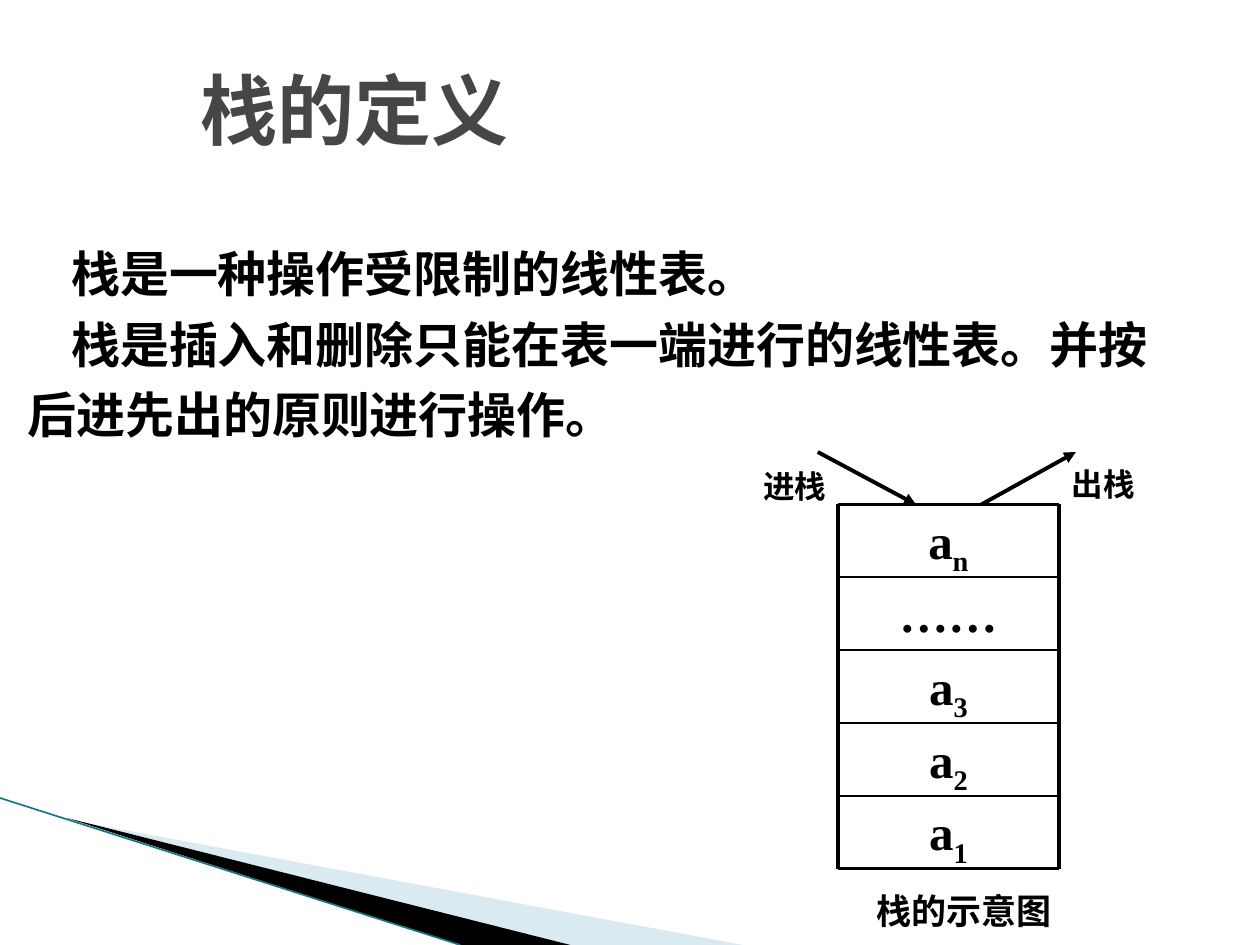
from dataclasses import dataclass

from lxml import etree
from pptx import Presentation
from pptx.dml.color import RGBColor
from pptx.enum.shapes import MSO_CONNECTOR
from pptx.enum.text import MSO_ANCHOR, PP_ALIGN
from pptx.oxml.ns import qn
from pptx.util import Pt

STRAIGHT = MSO_CONNECTOR.STRAIGHT
TOP, MIDDLE = MSO_ANCHOR.TOP, MSO_ANCHOR.MIDDLE
LEFT, CENTER = PP_ALIGN.LEFT, PP_ALIGN.CENTER


@dataclass(frozen=True)
class Theme:
    ink: str = "000000"
    heading: str = "464646"
    pale: str = "A0CBDC"
    edge: str = "1B7587"
    sans: str = "Arial"
    cjk: str = "Noto Sans CJK SC"
    serif: str = "Times New Roman"
    title: int = 44
    body: int = 28
    caption: int = 20
    label: int = 18
    thick: float = 2.25
    thin: float = 1


THEME = Theme()


def add_text(s, box, paragraphs, size, font, color=THEME.ink, align=LEFT,
             anchor=TOP, wrap=True, margin=0, indent=0, before=0, spacing=1.0):
    """Each paragraph is a list of (text, is_subscript) runs."""
    tf = s.shapes.add_textbox(*map(Pt, box)).text_frame
    tf.word_wrap, tf.vertical_anchor = wrap, anchor
    for i, runs in enumerate(paragraphs):
        p = tf.paragraphs[0] if i == 0 else tf.add_paragraph()
        p.alignment, p.space_before, p.line_spacing = align, Pt(before), spacing
        f = p.font
        f.size, f.bold, f.name = Pt(size), True, font
        f.color.rgb = RGBColor.from_string(color)
        pPr = p._p.get_or_add_pPr()
        pPr.set("marL", str(Pt(margin)))
        pPr.set("indent", str(Pt(indent)))
        etree.SubElement(pPr.find(qn("a:defRPr")), qn("a:ea"), typeface=THEME.cjk)
        for text, subscript in runs:
            r = p.add_run()
            r.text = text
            if subscript:
                r.font._element.set("baseline", "-25000")


def add_line(s, x1, y1, x2, y2, width, color=THEME.ink, arrow=False):
    line = s.shapes.add_connector(STRAIGHT, Pt(x1), Pt(y1), Pt(x2), Pt(y2))
    line.line.width = Pt(width)
    line.line.color.rgb = RGBColor.from_string(color)
    if arrow:
        etree.SubElement(line.line._get_or_add_ln(), qn("a:tailEnd"), type="triangle")
    etree.SubElement(line._element.spPr, qn("a:effectLst"))


def add_wedge(s, points, color, alpha=None):
    start, *rest = [(Pt(x), Pt(y)) for x, y in points]
    builder = s.shapes.build_freeform(*start)
    builder.add_line_segments(rest, close=True)
    sp = builder.convert_to_shape()
    sp.shadow.inherit = False
    sp.line.fill.background()
    sp.fill.solid()
    sp.fill.fore_color.rgb = RGBColor.from_string(color)
    if alpha:
        clr = sp._element.spPr.find(qn("a:solidFill"))[0]
        etree.SubElement(clr, qn("a:alpha"), val=str(alpha * 1000))


def draw_corner(s, x, y, w, h):
    """Sweeping wedges in the bottom left corner."""
    bottom = y + h
    add_wedge(s, [(x + 39.6, y + 12.5), (x + w, bottom), (x + 326, bottom)],
              THEME.pale, 40)
    add_wedge(s, [(x + 38.5, y + 11.5), (x + 326, bottom), (x + 263, bottom)],
              THEME.ink)
    add_line(s, x, y, x + 263, bottom, 0.95, THEME.edge)


def draw_heading(s, x, y, w, h):
    """Title and the definition below it."""
    add_text(s, (x + 97.2, y, 240, 54), [[("栈的定义", False)]], THEME.title,
             THEME.sans, THEME.heading, anchor=MIDDLE, margin=10.3)
    definition = ["栈是一种操作受限制的线性表。",
                  "栈是插入和删除只能在表一端进行的线性表。并按后进先出的原则进行操作。"]
    add_text(s, (x, y + 93.6, w, h - 93.6), [[(t, False)] for t in definition],
             THEME.body, THEME.cjk, margin=8.6, indent=25, spacing=1.2)


def draw_stack(s, x, y, w, h):
    """Stack cells, frame, push and pop arrows, and caption."""
    cells = [("a", "n"), ("……", ""), ("a", "3"), ("a", "2"), ("a", "1")]
    row = h / len(cells)
    for i, (name, index) in enumerate(cells):
        runs = [(name, False)] + ([(index, True)] if index else [])
        add_text(s, (x, y + i * row, w, row), [runs], THEME.body, THEME.serif,
                 align=CENTER, before=4)

    # Rules between cells and the frame
    for i in range(len(cells) + 1):
        width = THEME.thick if i in (0, len(cells)) else THEME.thin
        add_line(s, x, y + i * row, x + w, y + i * row, width)
    for side in (x, x + w):
        add_line(s, side, y, side, y + h, THEME.thick)

    # Push and pop
    add_line(s, x - 11.5, y - 30, x + 44.6, y, THEME.thick, arrow=True)
    add_line(s, x + 82, y, x + 136, y - 30, THEME.thick, arrow=True)

    # Labels and caption
    for text, dx, dy, lw, lh, size in [
            ("进栈", -57.6, -28.5, 66, 36, THEME.label),
            ("出栈", 118.8, -29.5, 66, 36, THEME.label),
            ("栈的示意图", -18, h + 9, 180, 30, THEME.caption)]:
        add_text(s, (x + dx, y + dy, lw, lh), [[(text, False)]], size, THEME.sans,
                 align=CENTER, anchor=MIDDLE, wrap=False)


prs = Presentation()
prs.slide_width, prs.slide_height = Pt(720), Pt(540)
s = prs.slides.add_slide(prs.slide_layouts[6])
draw_corner(s, 0, 456, 424.6, 84)
draw_heading(s, 0, 35.3, 686, 225)
draw_stack(s, 478.8, 288.3, 126.3, 208)
prs.save("out.pptx")
